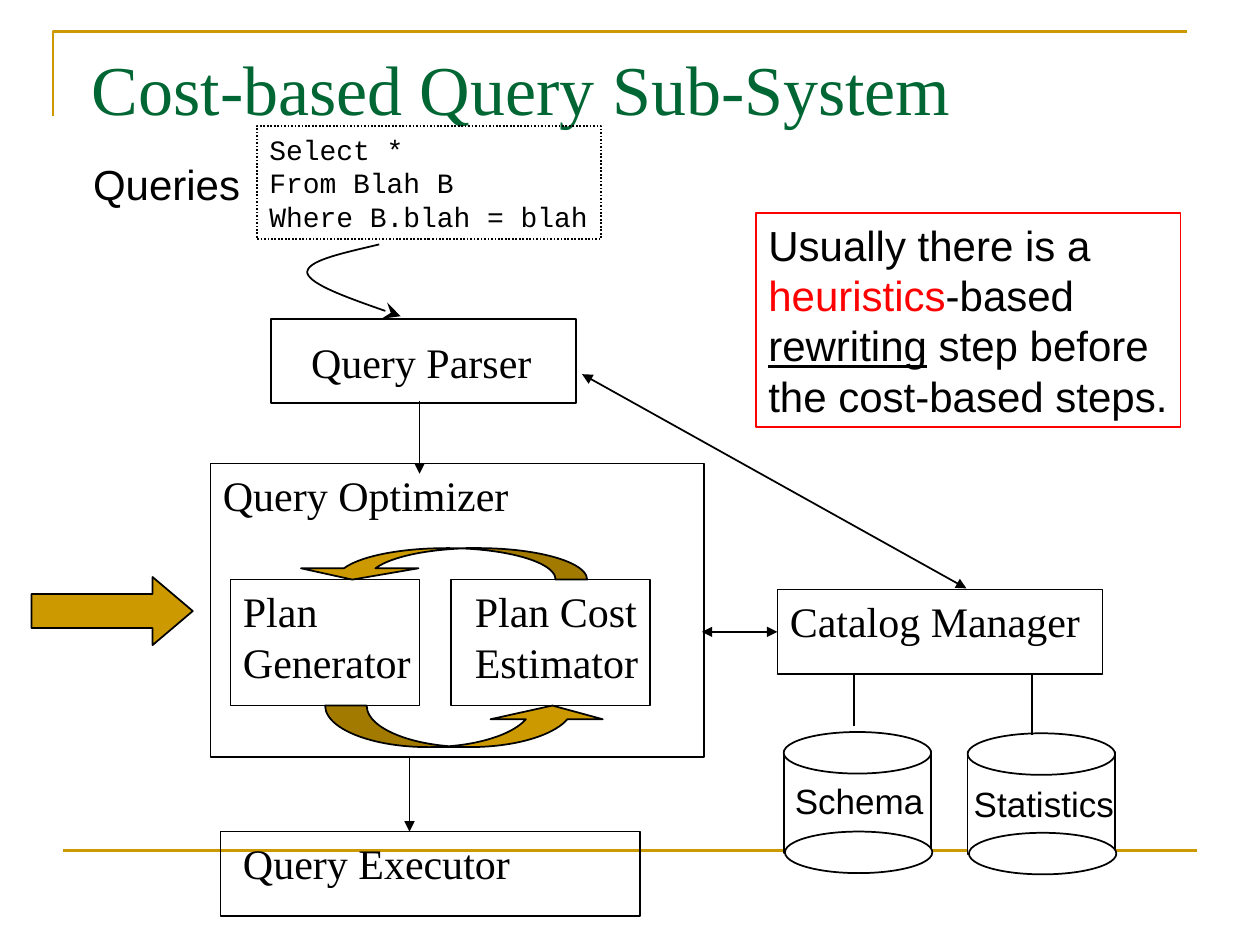
from pptx import Presentation
from pptx.dml.color import RGBColor
from pptx.enum.dml import MSO_LINE
from pptx.enum.shapes import MSO_CONNECTOR, MSO_SHAPE as SHAPE
from pptx.enum.text import MSO_ANCHOR, PP_ALIGN
from pptx.oxml.ns import qn
from pptx.util import Inches, Pt
from lxml.etree import SubElement

BLACK, WHITE, GOLD, GREEN, RED = "000000", "FFFFFF", "CC9900", "006633", "FF0000"
SERIF, SANS, MONO = "Times New Roman", "Arial", "Courier New"

TITLE = "Cost-based Query Sub-System"
FRAME = [(0.42, 0.92), (0.42, 0.25), (9.42, 0.25)]
QUERY_CURVE = [(3.01, 1.94), (2.72, 2.01), (2.42, 2.07), (2.44, 2.17),
               (2.47, 2.26), (2.83, 2.39), (3.18, 2.51)]
LABELS = [
    ("Query Parser", (2.37, 2.62, 2.25, 0.5)),
    ("Query Optimizer", (1.67, 3.68, 6.75, 0.5)),
    ("Plan Generator", (1.83, 4.6, 1.83, 0.9)),
    ("Plan Cost Estimator", (3.67, 4.6, 2.25, 0.9)),
    ("Query Executor", (1.83, 6.6, 4.33, 0.5)),
    ("Catalog Manager", (6.17, 4.68, 2.67, 0.5)),
]
BOXES = {
    "parser": (2.15, 2.53, 2.42, 0.67),
    "generator": (1.83, 4.6, 1.5, 1),
    "estimator": (3.58, 4.6, 1.58, 1),
    "optimizer": (1.67, 3.68, 3.92, 2.33),
    "catalog": (6.17, 4.68, 2.58, 0.67),
    "executor": (1.75, 6.6, 3.33, 0.67),
}
BLOCK_ARROWS = [
    (SHAPE.CURVED_UP_ARROW, (2.58, 5.6, 2.25, 0.33), (1.36, 2.7, 0.33), 0),
    (SHAPE.CURVED_UP_ARROW, (2.33, 4.35, 2.33, 0.25), (1.87, 3.73, 0.36), 180),
    (SHAPE.RIGHT_ARROW, (0.25, 4.58, 1.28, 0.54), (0.5, 0.59), 0),
]
STORES = [
    ("Schema", (6.22, 5.81), (6.21, 6.14, 1.22, 0.44)),
    ("Statistics", (7.68, 5.82), (7.63, 6.16, 1.37, 0.44)),
]
LINKS = [
    ((3.25, 6.01), (3.25, 6.6), ("tailEnd",)),
    ((3.33, 3.18), (3.33, 3.76), ("tailEnd",)),
    ((6.78, 5.36), (6.78, 5.76), ()),
    ((8.19, 5.35), (8.19, 5.83), ()),
    ((4.62, 2.97), (7.67, 4.67), ("headEnd", "tailEnd")),
]
NOTE = [
    [("Usually there is a", {})],
    [("heuristics", {"color": RED}), ("-based", {})],
    [("rewriting", {"underline": True}), (" step before", {})],
    [("the cost-based steps.", {})],
]
SQL = [[(line, {})] for line in ("Select *", "From Blah B", "Where B.blah = blah")]

prs = Presentation()
prs.slide_width, prs.slide_height = Inches(10), Inches(7.5)
s = prs.slides.add_slide(prs.slide_layouts[5])


def rgb(value):
    return RGBColor.from_string(value)


def emu(values):
    return [Inches(v) for v in values]


def paint(sp, fill=None, line=BLACK, width=1):
    sp.shadow.inherit = False
    if fill:
        sp.fill.solid()
        sp.fill.fore_color.rgb = rgb(fill)
    else:
        sp.fill.background()
    sp.line.color.rgb = rgb(line)
    sp.line.width = Pt(width)
    return sp


def add_shape(kind, box, fill=None, line=BLACK, shapes=s.shapes):
    return paint(shapes.add_shape(kind, *emu(box)), fill, line)


def add_arrowheads(sp, ends, kind="triangle", size="med"):
    ln = sp.line._get_or_add_ln()
    for end in ends:
        SubElement(ln, qn("a:" + end), type=kind, w=size, len=size)


def write(sp, paragraphs, size, font, wrap=True, color=BLACK):
    tf = sp.text_frame
    frame = {"word_wrap": wrap, "vertical_anchor": MSO_ANCHOR.TOP,
             "margin_left": Inches(0.1), "margin_right": Inches(0.1),
             "margin_top": Inches(0.05), "margin_bottom": Inches(0.05)}
    for name, value in frame.items():
        setattr(tf, name, value)
    for i, runs in enumerate(paragraphs):
        p = tf.add_paragraph() if i else tf.paragraphs[0]
        p.alignment = PP_ALIGN.LEFT
        p.line_spacing = Pt(1.2 * size)
        for text, extra in runs:
            r = p.add_run()
            r.text = text
            style = {"size": Pt(size), "name": font, "underline": extra.get("underline")}
            for name, value in style.items():
                setattr(r.font, name, value)
            r.font.color.rgb = rgb(extra.get("color", color))


def add_label(text, box, size=24, font=SERIF):
    write(s.shapes.add_textbox(*emu(box)), [[(text, {})]], size, font)


def add_line(start, end, ends=(), color=BLACK, width=1):
    c = s.shapes.add_connector(MSO_CONNECTOR.STRAIGHT, *emu(start + end))
    c.line.color.rgb = rgb(color)
    c.line.width = Pt(width)
    add_arrowheads(c, ends)
    SubElement(c._element.spPr, qn("a:effectLst"))
    return c


def add_outline(points, **style):
    start, *rest = [emu(pt) for pt in points]
    builder = s.shapes.build_freeform(*start)
    builder.add_line_segments(rest, close=False)
    return paint(builder.convert_to_shape(), **style)


def add_curve(points):
    sp = add_outline(points)
    outline = next(sp._element.iter(qn("a:path")))
    segments = outline.findall(qn("a:lnTo"))
    for i in range(0, len(segments), 3):
        bezier = SubElement(outline, qn("a:cubicBezTo"))
        for segment in segments[i:i + 3]:
            bezier.append(segment[0])
            outline.remove(segment)
    add_arrowheads(sp, ("tailEnd",), "stealth", "lg")


def add_store(name, corner, label_box):
    x, y = corner
    shapes = s.shapes.add_group_shape().shapes
    add_shape(SHAPE.RECTANGLE, (x, y + 0.15, 1.17, 0.81), WHITE, shapes=shapes)
    for dx, dy in ((0, 0), (0.01, 0.79)):
        add_shape(SHAPE.OVAL, (x + dx, y + dy, 1.17, 0.33), WHITE, shapes=shapes)
    add_label(name, label_box, 20, SANS)


add_outline(FRAME, line=GOLD, width=1.5)
add_line((0.5, 6.75), (9.5, 6.75), color=GOLD, width=1.5)

title = s.shapes.title
title.left, title.top, title.width, title.height = emu((0.63, 0.31, 8.5, 0.58))
write(title, [[(TITLE, {})]], 40, SERIF, color=GREEN)

for text, box in LABELS:
    add_label(text, box)
boxes = {name: add_shape(SHAPE.RECTANGLE, box) for name, box in BOXES.items()}

for kind, box, adjustments, rotation in BLOCK_ARROWS:
    sp = add_shape(kind, box, GOLD)
    sp.rotation = rotation
    for i, value in enumerate(adjustments):
        sp.adjustments[i] = value

note = add_shape(SHAPE.RECTANGLE, (6, 1.69, 3.37, 1.7), line=RED)
write(note, NOTE, 24, SANS, wrap=False)

for store in STORES:
    add_store(*store)
for link in LINKS:
    add_line(*link)
left, top, width, height = BOXES["catalog"]
middle = top + height / 2
catalog_link = add_line((5.57, middle), (left, middle), ("headEnd", "tailEnd"))
catalog_link.end_connect(boxes["catalog"], 1)

sql = add_shape(SHAPE.RECTANGLE, (2.04, 1, 2.73, 0.9))
sql.line.dash_style = MSO_LINE.ROUND_DOT
write(sql, SQL, 16, MONO, wrap=False)
add_label("Queries", (0.64, 1.21, 1.45, 0.5), font=SANS)
add_curve(QUERY_CURVE)

prs.save("out.pptx")
